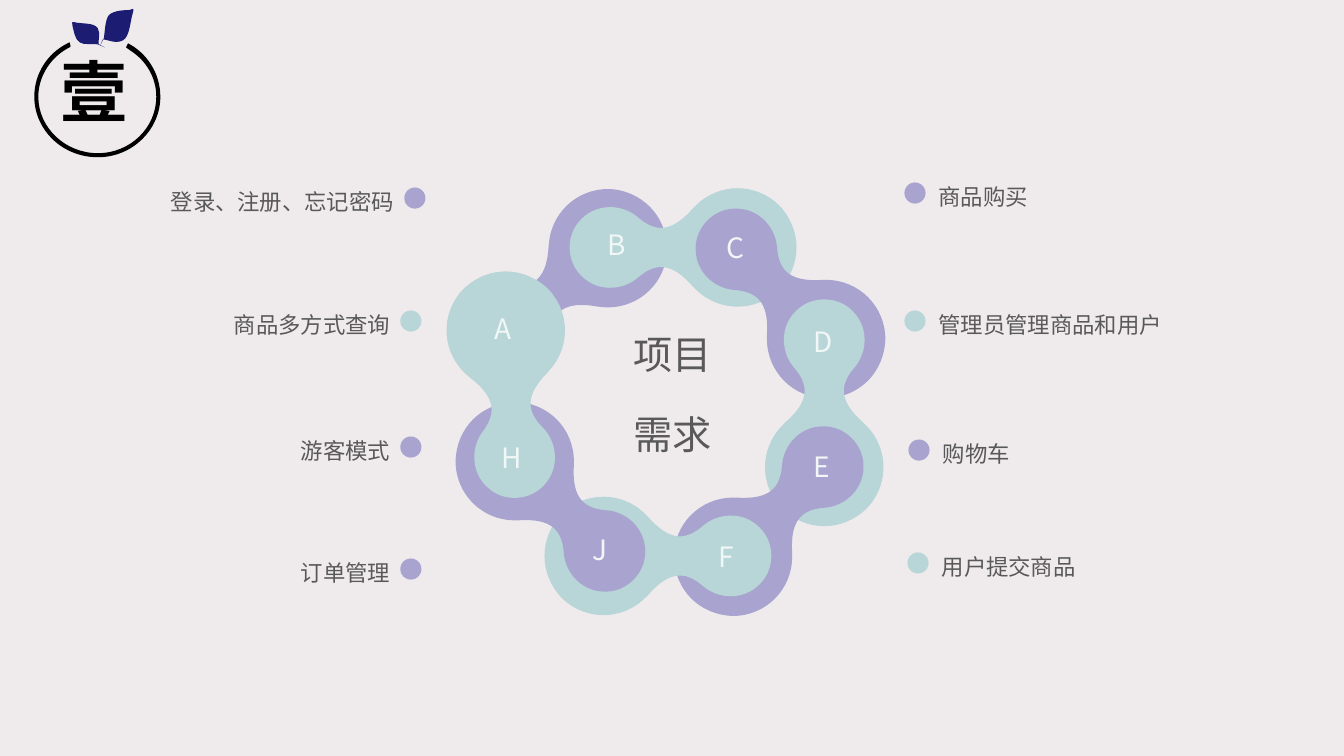
"""Build the project requirements slide: a ring of linked circles with labels."""
from math import cos, radians, sin
from typing import NamedTuple

from lxml import etree
from pptx import Presentation
from pptx.dml.color import RGBColor
from pptx.enum.shapes import MSO_SHAPE
from pptx.enum.text import MSO_ANCHOR, MSO_AUTO_SIZE, PP_ALIGN
from pptx.oxml.ns import qn
from pptx.util import Inches, Pt

ROUNDED = MSO_SHAPE.ROUNDED_RECTANGLE
TOP, MIDDLE = MSO_ANCHOR.TOP, MSO_ANCHOR.MIDDLE
LEFT, CENTER, RIGHT = PP_ALIGN.LEFT, PP_ALIGN.CENTER, PP_ALIGN.RIGHT
NO_AUTOFIT = MSO_AUTO_SIZE.NONE

BACKGROUND = RGBColor(0xEF, 0xEB, 0xEC)
PURPLE = RGBColor(0xA9, 0xA3, 0xD0)
TEAL = RGBColor(0xB8, 0xD5, 0xD7)
PALE = RGBColor(0xF1, 0xF7, 0xF7)
GREY = RGBColor(0x59, 0x59, 0x59)
NAVY = RGBColor(0x1C, 0x1C, 0x73)
BLACK = RGBColor(0, 0, 0)
FONT = "Noto Sans CJK SC"

SLIDE_W, SLIDE_H = Inches(13.33), Inches(7.5)
COL, ROW = SLIDE_W / 133.3, SLIDE_H / 75
DOT_SIZE = 2.1
LABEL_W, LABEL_H = 30.3, 3

Point = tuple[float, float]
Step = tuple[float, ...]


class Link(NamedTuple):
    """A link that starts at its small end and points along an angle."""
    col: float
    row: float
    angle: float
    color: RGBColor


class Letter(NamedTuple):
    """A letter on one circle."""
    text: str
    col: float
    row: float


class Requirement(NamedTuple):
    """A requirement with the place of its dot and the side of its text."""
    text: str
    col: float
    row: float
    color: RGBColor
    side: PP_ALIGN


class Outline(NamedTuple):
    """A closed outline of lines (2 numbers) and curves (6 numbers)."""
    start: Point
    steps: list[Step]
    color: RGBColor


class TextStyle(NamedTuple):
    """The look of a paragraph."""
    size: int
    color: RGBColor
    align: PP_ALIGN = LEFT
    spacing: float = 1.0
    bold: bool = False


HALF_LINK_START = (-4, 0)
HALF_LINK = [
    (-4, 1.05, -3.6, 2.1, -2.8, 2.85), (-1.3, 4.35, 1.1, 4.35, 2.7, 3.05),
    (4.4, 1.55, 6, 1.35, 8.2, 3.85), (8.3, 3.95, 8.4, 4.05, 8.5, 4.15),
    (10.8, 6.45, 14.5, 6.45, 16.8, 4.15), (17.9, 3, 18.5, 1.5, 18.5, 0),
]
LINKS = [
    Link(50.4, 32.5, -38.5, PURPLE), Link(60.5, 24.55, 0, TEAL),
    Link(73, 24.7, 45, PURPLE), Link(81.75, 33.7, 90, TEAL),
    Link(81.65, 46.3, 135, PURPLE), Link(72.5, 55.15, 180, TEAL),
    Link(60, 54.7, 225, PURPLE), Link(51.05, 45.4, 266, TEAL),
]
LETTERS = [
    Letter("A", 48.1, 30.6), Letter("B", 59.3, 22.3), Letter("C", 71.1, 22.6),
    Letter("D", 79.7, 31.9), Letter("E", 79.7, 44.3), Letter("F", 70.3, 53.2),
    Letter("J", 57.8, 52.5), Letter("H", 48.8, 43.4),
]
REQUIREMENTS = [
    Requirement("登录、注册、忘记密码", 40.1, 18.6, PURPLE, RIGHT),
    Requirement("商品多方式查询", 39.7, 30.8, TEAL, RIGHT),
    Requirement("游客模式", 39.7, 43.3, PURPLE, RIGHT),
    Requirement("订单管理", 39.7, 55.4, PURPLE, RIGHT),
    Requirement("商品购买", 89.7, 18.1, PURPLE, LEFT),
    Requirement("管理员管理商品和用户", 89.7, 30.8, TEAL, LEFT),
    Requirement("购物车", 90.1, 43.6, PURPLE, LEFT),
    Requirement("用户提交商品", 90, 54.8, TEAL, LEFT),
]
BADGE = [
    Outline((10.4, 4.7), [
        (9.7, 4.4), (9.3, 4.3, 8.3, 4.5, 7.9, 4.2), (7.4, 3.9, 7.3, 2.9, 7.2, 2.6),
        (7.2, 2.2, 7, 2.2, 7.4, 2.2), (8.1, 2.4, 9.3, 2.2, 9.7, 2.8),
        (10, 3.3, 9.7, 4.1, 9.8, 4.4)], NAVY),
    Outline((9.9, 4.6), [
        (10.3, 3.8), (10.4, 3.3, 10.4, 2, 10.8, 1.5), (11.3, 1, 12.5, 1, 12.8, 1),
        (13.2, 0.9, 13.3, 0.7, 13.2, 1.2), (12.9, 2.1, 12.9, 3.6, 12.2, 4),
        (11.5, 4.4, 10.6, 3.9, 10.2, 3.9)], NAVY),
    Outline((6.9, 4.2), [
        (6.7, 4.3), (4.7, 5.3, 3.4, 7.3, 3.4, 9.6), (3.4, 12.9, 6.2, 15.6, 9.7, 15.6),
        (13.1, 15.6, 15.9, 12.9, 15.9, 9.6), (15.9, 7.3, 14.6, 5.3, 12.7, 4.3),
        (12.5, 4.7), (12.9, 5), (14.5, 6, 15.5, 7.7, 15.5, 9.6),
        (15.5, 12.7, 12.9, 15.2, 9.7, 15.2), (6.5, 15.2, 3.8, 12.7, 3.8, 9.6),
        (3.8, 7.5, 5.1, 5.6, 6.9, 4.7), (7, 4.6)], BLACK),
]


def flatten(start: Point, steps: list[Step]) -> list[Point]:
    """Return the start and every point of the steps in order."""
    return [start] + [pair for step in steps for pair in zip(step[::2], step[1::2])]


def paint(shape, color: RGBColor) -> None:
    """Give a shape a plain fill without line or shadow."""
    shape.shadow.inherit = False
    shape.fill.solid()
    shape.fill.fore_color.rgb = color
    shape.line.fill.background()


def draw_outline(slide, points: list[Point], sizes: list[int], color: RGBColor) -> None:
    """Draw a closed shape, joining each run of three points into a curve."""
    corners = [(round(x * COL), round(y * ROW)) for x, y in points]
    builder = slide.shapes.build_freeform(*corners[0])
    builder.add_line_segments(corners[1:], close=True)
    shape = builder.convert_to_shape()
    segments = iter(list(shape._element.iter(qn("a:lnTo"))))
    for size in sizes:
        first, *others = [next(segments) for _ in range(size)]
        if others:
            first.tag = qn("a:cubicBezTo")
        for other in others:
            first.append(other[0])
            other.getparent().remove(other)
    paint(shape, color)


def draw_link(slide, link: Link) -> None:
    """Draw the mirrored link profile, turned and moved to its place."""
    half = flatten(HALF_LINK_START, HALF_LINK)
    profile = half + [(x, -y) for x, y in half[-2::-1]]
    c, s = cos(radians(link.angle)), sin(radians(link.angle))
    turned = [(link.col + x * c - y * s, link.row + x * s + y * c) for x, y in profile]
    draw_outline(slide, turned, [3] * (2 * len(HALF_LINK)), link.color)


def place(shape, col: float, row: float, cols: float, rows: float) -> None:
    """Put a shape on the grid."""
    shape.left, shape.top = round(col * COL), round(row * ROW)
    shape.width, shape.height = round(cols * COL), round(rows * ROW)


def write(shape, lines: list[str], style: TextStyle, inset: Point = (0, 0),
          anchor: MSO_ANCHOR = TOP) -> None:
    """Fill a shape with styled paragraphs."""
    frame = shape.text_frame
    frame.word_wrap, frame.auto_size, frame.vertical_anchor = True, NO_AUTOFIT, anchor
    frame.margin_left = frame.margin_right = round(inset[0] * COL)
    frame.margin_top = frame.margin_bottom = round(inset[1] * ROW)
    frame.text = "\n".join(lines)
    for index, paragraph in enumerate(frame.paragraphs):
        paragraph.alignment = style.align
        paragraph.line_spacing = style.spacing
        paragraph.space_before = Pt(17 if index else 0)
        font = paragraph.font
        font.name, font.size, font.bold = FONT, Pt(style.size), style.bold
        font.color.rgb = style.color
        defaults = paragraph._p.pPr.find(qn("a:defRPr"))
        etree.SubElement(defaults, qn("a:ea")).set("typeface", FONT)


def add_text(slide, area: Step, text: str, style: TextStyle, inset: Point = (0, 0),
             anchor: MSO_ANCHOR = TOP) -> None:
    """Add a text box on the grid."""
    box = slide.shapes.add_textbox(0, 0, 0, 0)
    place(box, *area)
    write(box, [text], style, inset, anchor)


def draw_requirement(slide, item: Requirement) -> None:
    """Draw a dot and the text beside it."""
    dot = slide.shapes.add_shape(ROUNDED, 0, 0, 0, 0)
    place(dot, item.col, item.row, DOT_SIZE, DOT_SIZE)
    dot.adjustments[0] = 0.5
    paint(dot, item.color)
    offset = 3.4 if item.side == LEFT else -1 - LABEL_W
    add_text(slide, (item.col + offset, item.row - 0.5, LABEL_W, LABEL_H), item.text,
             TextStyle(16, GREY, item.side, 1.2))


def main() -> None:
    """Build and save the slide."""
    deck = Presentation()
    deck.slide_width, deck.slide_height = SLIDE_W, SLIDE_H
    slide = deck.slides.add_slide(deck.slide_layouts[5])
    slide.background.fill.solid()
    slide.background.fill.fore_color.rgb = BACKGROUND
    for link in LINKS:
        draw_link(slide, link)
    for letter in LETTERS:
        add_text(slide, (letter.col, letter.row, 4.2, 3.9), letter.text,
                 TextStyle(20, PALE), (1, 1), MIDDLE)
    place(slide.shapes.title, 60, 31.8, 13.4, 17.6)
    write(slide.shapes.title, ["项目", "需求"], TextStyle(28, GREY, CENTER, 1.2))
    for item in REQUIREMENTS:
        draw_requirement(slide, item)
    for part in BADGE:
        sizes = [len(step) // 2 for step in part.steps]
        draw_outline(slide, flatten(part.start, part.steps), sizes, part.color)
    add_text(slide, (5, 4.5, 10, 9.1), "壹", TextStyle(48, BLACK, bold=True), (1, 0.5))
    deck.save("out.pptx")


if __name__ == "__main__":
    main()
